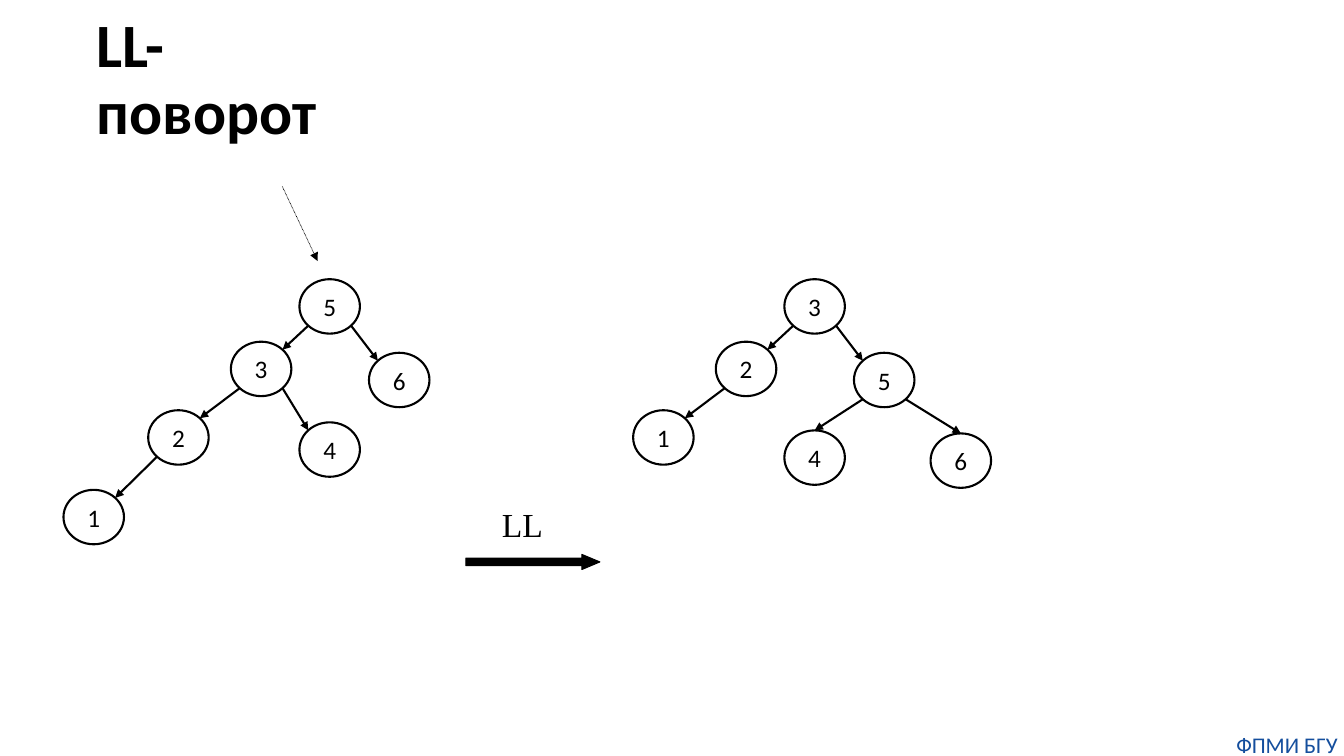
from math import sqrt
from lxml import etree
from pptx import Presentation
from pptx.dml.color import RGBColor
from pptx.enum.dml import MSO_LINE
from pptx.enum.shapes import MSO_CONNECTOR as Link, MSO_SHAPE as Form
from pptx.enum.text import MSO_ANCHOR as Anchor, PP_ALIGN as Align
from pptx.oxml.ns import qn
from pptx.util import Inches, Pt

BLACK = RGBColor(0, 0, 0)
WHITE = RGBColor(255, 255, 255)
BLUE = RGBColor(0x14, 0x4E, 0x9D)
WIDE, HIGH = 0.6, 0.54
SITES = {"top": (0, -1), "nw": (-1, -1), "ne": (1, -1), "sw": (-1, 1), "se": (1, 1)}

BEFORE = (
    {"5": (2.97, 2.77), "3": (2.29, 3.39), "6": (3.66, 3.5),
     "2": (1.47, 4.07), "4": (2.97, 4.19), "1": (0.63, 4.86)},
    [("5", "sw", "3", "ne"), ("5", "se", "6", "nw"), ("3", "sw", "2", "ne"),
     ("3", "se", "4", "nw"), ("2", "sw", "1", "ne")],
)
AFTER = (
    {"3": (7.78, 2.77), "2": (7.1, 3.39), "5": (8.47, 3.5),
     "1": (6.28, 4.07), "4": (7.78, 4.27), "6": (9.23, 4.3)},
    [("3", "sw", "2", "ne"), ("3", "se", "5", "nw"), ("2", "sw", "1", "ne"),
     ("5", "sw", "4", "top"), ("5", "se", "6", "top")],
)


def write(shape, text, size, font="Calibri", color=BLACK, align=Align.LEFT):
    """Put one styled line of text in a shape."""
    para = shape.text_frame.paragraphs[0]
    para.text, para.alignment = text, align
    para.font.size, para.font.name = Pt(size), font
    para.font.color.rgb = color
    return para


def form(shapes, kind, box):
    """Add a preset shape without shadow."""
    shape = shapes.add_shape(kind, *map(Inches, box))
    shape.shadow.inherit = False
    return shape


def arrow(shapes, start, end, width=1.5):
    """Draw a line with a triangle at its end."""
    line = shapes.add_connector(Link.STRAIGHT, *map(Inches, start + end))
    line.line.color.rgb, line.line.width = BLACK, Pt(width)
    etree.SubElement(line.line._get_or_add_ln(), qn("a:tailEnd"), type="triangle")
    etree.SubElement(line._element.spPr, qn("a:effectLst"))
    return line


def rim(spot, site):
    """Find a point on the rim of a node."""
    dx, dy = SITES[site]
    size = sqrt(dx * dx + dy * dy)
    return (spot[0] + WIDE / 2 * (1 + dx / size), spot[1] + HIGH / 2 * (1 + dy / size))


def tree(shapes, nodes, edges):
    """Draw the nodes and edges of a tree."""
    for key, spot in nodes.items():
        node = form(shapes, Form.OVAL, (*spot, WIDE, HIGH))
        node.fill.background()
        node.line.color.rgb, node.line.width = BLACK, Pt(1.5)
        node.text_frame.vertical_anchor = Anchor.MIDDLE
        write(node, key, 18, align=Align.CENTER)
    for up, out, down, into in edges:
        arrow(shapes, rim(nodes[up], out), rim(nodes[down], into))


def main():
    """Build the slide."""
    deck = Presentation()
    deck.slide_width, deck.slide_height = Inches(13.33), Inches(7.5)
    shapes = deck.slides.add_slide(deck.slide_layouts[5]).shapes

    title = shapes.title
    title.left, title.top, title.width, title.height = map(Inches, (0.86, 0.08, 3.03, 1.45))
    title.text_frame.vertical_anchor = Anchor.MIDDLE
    head = write(title, "LL-поворот", 44)
    head.font.bold, head.line_spacing = True, 0.9

    tree(shapes, *BEFORE)
    tree(shapes, *AFTER)
    arrow(shapes, (2.8, 1.85), (3.15, 2.59), 0.5).line.dash_style = MSO_LINE.ROUND_DOT

    turn = form(shapes, Form.RIGHT_ARROW, (4.62, 5.5, 1.33, 0.15))
    turn.adjustments[0], turn.adjustments[1] = 0.5, 1.19
    turn.fill.solid()
    turn.fill.fore_color.rgb = turn.line.color.rgb = BLACK
    turn.line.width = Pt(0.75)

    label = form(shapes, Form.RECTANGLE, (4.88, 4.95, 1.02, 0.45))
    label.fill.solid()
    label.fill.fore_color.rgb = WHITE
    label.line.fill.background()
    label.text_frame.vertical_anchor = Anchor.TOP
    write(label, "LL", 24, "Times New Roman")

    foot = shapes.add_textbox(*map(Inches, (12.2, 7.25, 1.13, 0.27)))
    frame = foot.text_frame
    frame.word_wrap = True
    frame.margin_left = frame.margin_right = frame.margin_top = frame.margin_bottom = 0
    write(foot, "ФПМИ БГУ", 16, color=BLUE, align=Align.CENTER)

    deck.save("out.pptx")


if __name__ == "__main__":
    main()
